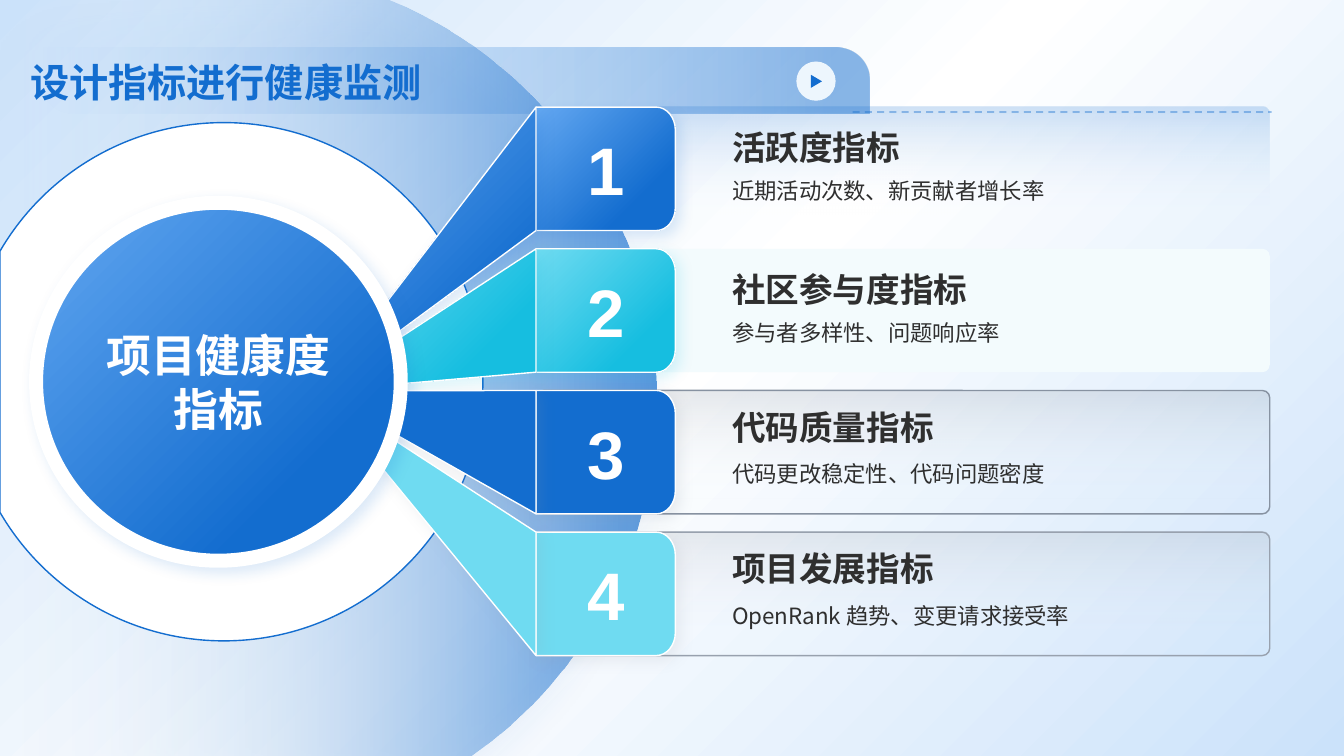
import math

import lxml.etree
import pptx
import pptx.dml.color
import pptx.enum.dml
import pptx.enum.shapes
import pptx.enum.text
import pptx.oxml
import pptx.oxml.ns
import pptx.util

Cm = pptx.util.Cm
Pt = pptx.util.Pt
RGBColor = pptx.dml.color.RGBColor
SHAPE = pptx.enum.shapes.MSO_SHAPE
ANCHOR = pptx.enum.text.MSO_ANCHOR
ALIGN = pptx.enum.text.PP_ALIGN
qn = pptx.oxml.ns.qn

BLUE = RGBColor(0x13, 0x6D, 0xCF)
SKY = RGBColor(0x63, 0xA7, 0xF1)
PALE = RGBColor(0x97, 0xC4, 0xF5)
MIST = RGBColor(0xCB, 0xE2, 0xFA)
ICE = RGBColor(0xED, 0xF6, 0xFD)
TEAL = RGBColor(0x16, 0xBE, 0xE0)
AQUA = RGBColor(0x6F, 0xDB, 0xF1)
FOAM = RGBColor(0xF3, 0xFB, 0xFD)
SLATE = RGBColor(0x87, 0x92, 0xA1)
GRAY = RGBColor(0x98, 0xA1, 0xAE)
INK = RGBColor(0x2F, 0x2F, 0x2F)
WHITE = RGBColor(0xFF, 0xFF, 0xFF)

WIDE, HIGH = 33.87, 19.05
LEFT, TOP, PITCH, TALL = 13.51, 2.7, 3.57, 3.11
CARD = 3.51
TIP = (8.03, 9.85)
SANS = "Noto Sans CJK SC"


def node(tag, kids="", **attrs):
    pairs = "".join(f' {key}="{value}"' for key, value in attrs.items())
    space = pptx.oxml.ns.nsdecls("a")
    return f"<a:{tag} {space}{pairs}>{kids}</a:{tag}>"


def tint(color, alpha):
    return node("srgbClr", node("alpha", val=alpha * 1000), val=color)


def blend(angle, *stops):
    marks = "".join(node("gs", tint(color, alpha), pos=pos * 1000)
                    for pos, color, alpha in stops)
    return node("gradFill", node("gsLst", marks)
                + node("lin", ang=angle * 60000, scaled=0), rotWithShape=1)


def paint(fill, root, look):
    if isinstance(look, RGBColor):
        fill.solid()
        fill.fore_color.rgb = look
    else:
        fill.background()
        old = root.find(".//" + qn("a:noFill"))
        old.getparent().replace(old, pptx.oxml.parse_xml(look))


def style(shape, fill, line=None, width=1, shade=None, blur=10, dist=5, turn=45):
    shape.shadow.inherit = False
    paint(shape.fill, shape.element.spPr, fill)
    if line is None:
        shape.line.fill.background()
    else:
        shape.line.color.rgb = line
        shape.line.width = Pt(width)
    if shade is not None:
        cast = node("outerShdw", tint(shade, 15), blurRad=Pt(blur), dist=Pt(dist),
                    dir=turn * 60000, algn="ctr", rotWithShape=0)
        shape.element.spPr.find(qn("a:effectLst")).append(pptx.oxml.parse_xml(cast))
    return shape


def preset(slide, kind, box, fill, **look):
    shape = slide.shapes.add_shape(kind, *map(Cm, box))
    return style(shape, fill, **look)


def arc(x, y, wide, high, first, last):
    a, b = math.radians(first), math.radians(last)
    pull = 4 / 3 * math.tan((b - a) / 4)
    return [(x + wide * (math.cos(t) - k * math.sin(t)),
             y + high * (math.sin(t) + k * math.cos(t)))
            for t, k in ((a, pull), (b, -pull), (b, 0))]


def outline(slide, start, steps, fill, **look):
    spans = [step if isinstance(step, list) else [step] for step in steps]
    points = [(Cm(x), Cm(y)) for span in spans for x, y in span]
    path = slide.shapes.build_freeform(*map(Cm, start), scale=1.0)
    path.add_line_segments(points, close=True)
    shape = path.convert_to_shape()
    lines = iter(shape.element.findall(".//" + qn("a:lnTo")))
    for span in spans:
        head = next(lines)
        if len(span) == 3:
            head.tag = qn("a:cubicBezTo")
            for _ in range(2):
                extra = next(lines)
                head.append(extra[0])
                extra.getparent().remove(extra)
    return style(shape, fill, **look)


def halo(slide):
    ring = (5.64, 10.08, 10.9, 10.9)
    steps = [arc(*ring, -67.6, 0), arc(*ring, 0, 55.4),
             (0, HIGH), (0, 0.75), arc(*ring, 238.8, 247.6)]
    outline(slide, (9.79, 0), steps, blend(180, (0, BLUE, 70), (100, WHITE, 0)),
            shade=BLUE, blur=24, dist=18, turn=123)
    ring = (5.64, 9.62, 6.53, 6.53)
    steps = [arc(*ring, -90, 0), arc(*ring, 0, 90), arc(*ring, 90, 149.7),
             (0, 6.33), arc(*ring, 210.3, 270)]
    outline(slide, (5.64, 3.09), steps, WHITE, line=BLUE)


def write(shape, text, size, color, bold=False, font="Arial", align=ALIGN.LEFT,
          anchor=ANCHOR.TOP, space=None):
    frame = shape.text_frame
    frame.word_wrap = True
    frame.vertical_anchor = anchor
    para = frame.paragraphs[0]
    para.alignment = align
    para.line_spacing = space
    run = para.add_run()
    run.text = text
    run.font.size = Pt(size)
    run.font.bold = bold
    run.font.name = font
    run.font.color.rgb = color
    lxml.etree.SubElement(run.font._element, qn("a:ea")).set("typeface", SANS)


def label(slide, box, text, size, color, **look):
    write(slide.shapes.add_textbox(*map(Cm, box)), text, size, color, **look)


def header(slide):
    bar = preset(slide, SHAPE.ROUND_2_DIAG_RECTANGLE, (1.02, 1.19, 20.9, 1.67),
                 blend(0, (0, PALE, 0), (96, BLUE, 50)))
    bar.adjustments[0] = 0
    bar.adjustments[1] = 0.5
    preset(slide, SHAPE.OVAL, (20.07, 1.55, 0.99, 0.99), ICE)
    preset(slide, SHAPE.ISOSCELES_TRIANGLE, (20.41, 1.91, 0.33, 0.28), BLUE).rotation = 90
    rule = slide.shapes.add_connector(pptx.enum.shapes.MSO_CONNECTOR.STRAIGHT,
                                      Cm(21.49), Cm(2.82), Cm(32.05), Cm(2.82))
    rule.line.color.rgb = BLUE
    rule.line.width = Pt(1.25)
    rule.line.dash_style = pptx.enum.dml.MSO_LINE.DASH
    props = rule._element.spPr
    props.find(".//" + qn("a:srgbClr")).append(
        pptx.oxml.parse_xml(node("alpha", val=40000)))
    props.append(pptx.oxml.parse_xml(node("effectLst")))


def panel(slide, top, fill, line, head, body, drop, font):
    base = preset(slide, SHAPE.ROUNDED_RECTANGLE, (LEFT, top, 18.49, TALL), fill, line=line)
    base.adjustments[0] = 0.06
    label(slide, (18.2, top + 1.5, 13.06, 1.27), body, 16, INK, font=font, space=1.2)
    label(slide, (18.2, top + drop, 13.06, 0.99), head, 24, INK, bold=True,
          anchor=ANCHOR.BOTTOM)


def card(slide, top, mark, fill, shade):
    right, base = LEFT + CARD, top + TALL
    wide, high = 0.48, 0.58
    steps = [(right - wide, base),
             arc(right - wide, base - high, wide, high, 90, 0),
             (right, top + high),
             arc(right - wide, top + high, wide, high, 0, -90),
             (LEFT, top)]
    tile = outline(slide, (LEFT, base), steps, fill, line=WHITE, shade=shade)
    write(tile, mark, 48, WHITE, bold=True, align=ALIGN.CENTER, anchor=ANCHOR.MIDDLE)
    outline(slide, (LEFT, top), [TIP, (LEFT, base)], fill, line=WHITE, shade=shade)


def main():
    deck = pptx.Presentation()
    deck.slide_width, deck.slide_height = Cm(WIDE), Cm(HIGH)
    slide = deck.slides.add_slide(deck.slide_layouts[6])
    paint(slide.background.fill, slide.element,
          blend(45, (0, MIST, 100), (50, WHITE, 100), (100, MIST, 100)))
    deep = blend(45, (0, SKY, 100), (75, BLUE, 100))
    cyan = blend(45, (0, AQUA, 100), (75, TEAL, 100))
    veils = [blend(90, (0, color, 20), (88, WHITE, 0)) for color in (BLUE, SLATE, GRAY)]
    topics = [
        ("活跃度指标", "近期活动次数、新贡献者增长率", veils[0], None, 0.65, "Arial", deep, BLUE),
        ("社区参与度指标", "参与者多样性、问题响应率", FOAM, None, 0.66, "Arial", cyan, TEAL),
        ("代码质量指标", "代码更改稳定性、代码问题密度", veils[1], SLATE, 0.56, "Arial", BLUE, SLATE),
        ("项目发展指标", "OpenRank 趋势、变更请求接受率", veils[2], GRAY, 0.56, SANS, AQUA, GRAY),
    ]

    header(slide)
    halo(slide)
    for i, (head, body, veil, line, drop, font, fill, shade) in enumerate(topics):
        panel(slide, TOP + i * PITCH, veil, line, head, body, drop, font)
    for i, (*rest, fill, shade) in enumerate(topics):
        card(slide, TOP + i * PITCH, str(i + 1), fill, shade)
    hub = preset(slide, SHAPE.OVAL, (0.91, 5.11, 9.19, 9.02), deep,
                 line=WHITE, width=10, shade=BLUE)
    write(hub, "项目健康度指标", 32, WHITE, bold=True, align=ALIGN.CENTER,
          anchor=ANCHOR.MIDDLE)
    label(slide, (0.51, 1.35, 12.65, 1.45), "设计指标进行健康监测", 28, BLUE, bold=True)
    deck.save("out.pptx")


if __name__ == "__main__":
    main()
